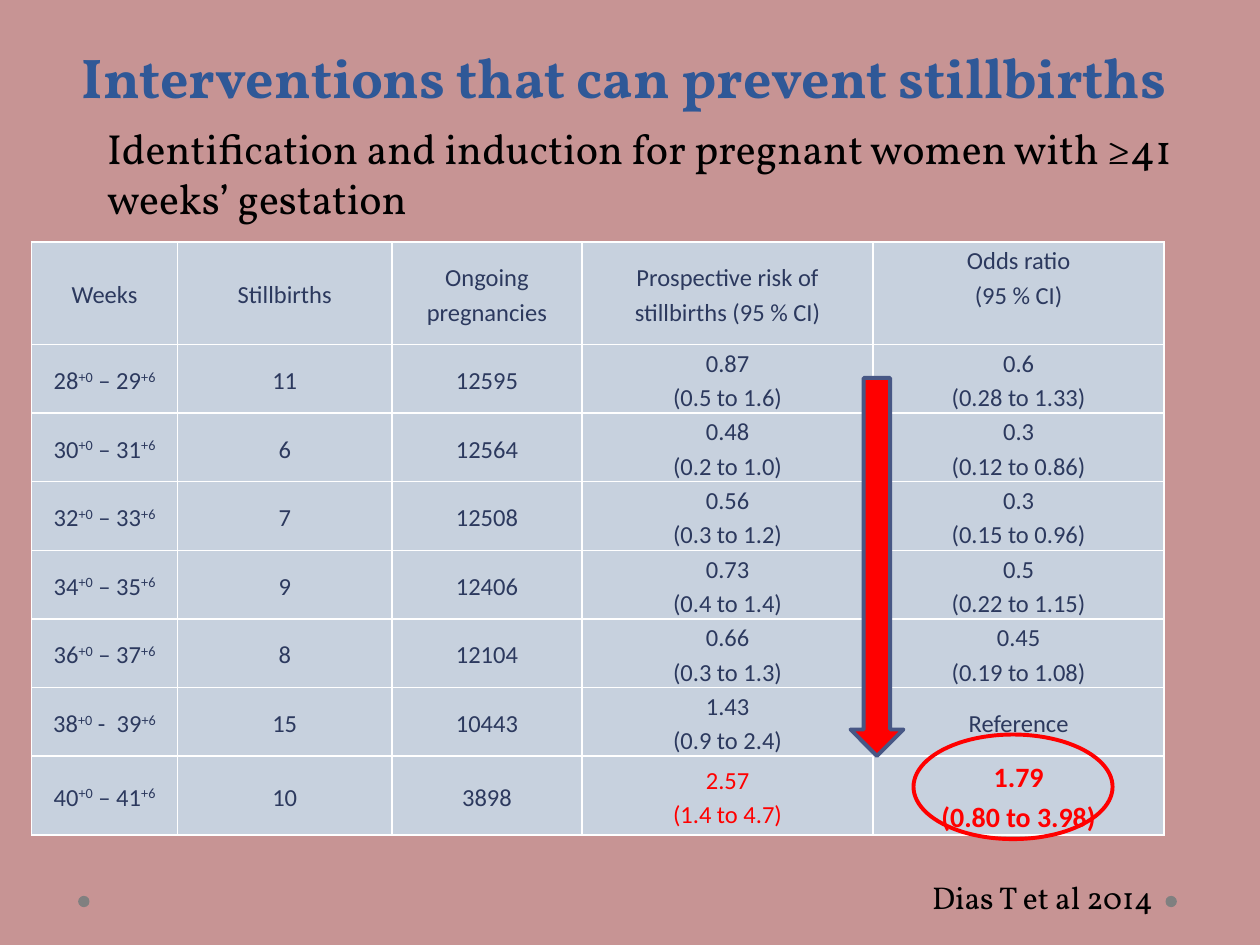
from lxml import etree
from pptx import Presentation
from pptx import util as u
from pptx.dml.color import RGBColor
from pptx.enum import shapes, text
from pptx.oxml.ns import qn

RED, WHITE, BLACK = "FF0000", "FFFFFF", "000000"
SERIF, SANS = "Vollkorn", "Calibri"
LEFT, CENTER, RIGHT = (text.PP_ALIGN.LEFT, text.PP_ALIGN.CENTER,
                       text.PP_ALIGN.RIGHT)


def color(value):
    return RGBColor.from_string(value)


def set_attributes(target, values):
    for name, value in values.items():
        setattr(target, name, value)


class SlideBuilder:
    cell_fill, cell_text = "C7D1DE", "2C395E"

    def __init__(self, slide, background):
        self.slide = slide
        slide.background.fill.solid()
        slide.background.fill.fore_color.rgb = color(background)

    def add_runs(self, paragraph, runs, font, size, hue, bold=False,
                 align=LEFT, spacing=None):
        """Runs are strings; one that starts with + is raised."""
        set_attributes(paragraph, {"alignment": align, "line_spacing": spacing})
        for words in runs:
            run = paragraph.add_run()
            run.text = words
            set_attributes(run.font, {"name": font, "size": u.Pt(size),
                                      "bold": bold})
            run.font.color.rgb = color(hue)
            if words.startswith("+"):
                run.font._element.set("baseline", "30000")

    def place(self, shape, box):
        names = ("left", "top", "width", "height")
        set_attributes(shape, dict(zip(names, map(u.Inches, box))))

    def title(self, words, box, **style):
        shape = self.slide.shapes.title
        self.place(shape, box)
        frame = shape.text_frame
        set_attributes(frame, {"word_wrap": True,
                               "auto_size": text.MSO_AUTO_SIZE.NONE,
                               "vertical_anchor": text.MSO_ANCHOR.BOTTOM})
        self.add_runs(frame.paragraphs[0], [words], **style)

    def text_box(self, words, box, indent=0.0, **style):
        frame = self.slide.shapes.add_textbox(*map(u.Inches, box)).text_frame
        set_attributes(frame, {"word_wrap": True,
                               "margin_left": u.Inches(0.1 + indent)})
        self.add_runs(frame.paragraphs[0], [words], **style)

    def shape(self, kind, box, fill=None, line=None):
        shape = self.slide.shapes.add_shape(kind, *map(u.Inches, box))
        shape.shadow.inherit = False
        if fill:
            shape.fill.solid()
            shape.fill.fore_color.rgb = color(fill)
        else:
            shape.fill.background()
        if line:
            shape.line.color.rgb = color(line)
            shape.line.width = u.Pt(2.25)
        else:
            shape.line.fill.background()

    def borders(self, cell):
        properties = cell._tc.get_or_add_tcPr()
        for index, side in enumerate(("lnL", "lnR", "lnT", "lnB")):
            line = etree.Element(qn(f"a:{side}"), w=str(u.Pt(1)))
            fill = etree.SubElement(line, qn("a:solidFill"))
            etree.SubElement(fill, qn("a:srgbClr"), val=WHITE)
            properties.insert(index, line)

    def cell(self, cell, lines, **changes):
        set_attributes(cell, {"vertical_anchor": text.MSO_ANCHOR.MIDDLE,
                              "margin_left": u.Inches(0.07),
                              "margin_right": u.Inches(0.07),
                              "margin_top": 0, "margin_bottom": 0})
        cell.fill.solid()
        cell.fill.fore_color.rgb = color(self.cell_fill)
        self.borders(cell)
        style = {"font": SANS, "size": 14, "hue": self.cell_text,
                 "align": CENTER, "spacing": 1.15, **changes}
        frame = cell.text_frame
        for index, runs in enumerate(lines):
            paragraph = frame.add_paragraph() if index else frame.paragraphs[0]
            self.add_runs(paragraph, runs, **style)

    def table(self, rows, box, widths, heights, styles):
        frame = self.slide.shapes.add_table(len(rows), len(widths),
                                            *map(u.Inches, box))
        table = frame.table
        set_attributes(table, {"first_row": False, "horz_banding": False})
        for column, width in zip(table.columns, widths):
            column.width = u.Inches(width)
        for row, height in zip(table.rows, heights):
            row.height = u.Inches(height)
        for r, row in enumerate(rows):
            for c, lines in enumerate(row):
                self.cell(table.cell(r, c), lines, **styles.get((r, c), {}))
        return table


HEADER = [[["Weeks"]], [["Stillbirths"]], [["Ongoing pregnancies"]],
          [["Prospective risk of stillbirths (95 % CI)"]],
          [["Odds ratio"], ["(95 % CI)"]]]

# First week, dash, stillbirths, pregnancies, risk and range, odds and range
RESULTS = [
    (28, " – ", 11, 12595, "0.87", "0.5 to 1.6", "0.6", "0.28 to 1.33"),
    (30, " – ", 6, 12564, "0.48", "0.2 to 1.0", "0.3", "0.12 to 0.86"),
    (32, " – ", 7, 12508, "0.56", "0.3 to 1.2", "0.3", "0.15 to 0.96"),
    (34, " – ", 9, 12406, "0.73", "0.4 to 1.4", "0.5", "0.22 to 1.15"),
    (36, " – ", 8, 12104, "0.66", "0.3 to 1.3", "0.45", "0.19 to 1.08"),
    (38, " -  ", 15, 10443, "1.43", "0.9 to 2.4", "Reference", None),
    (40, " – ", 10, 3898, "2.57", "1.4 to 4.7", "1.79", "0.80 to 3.98"),
]


def estimate(value, interval):
    return [[value], [f"({interval})"]] if interval else [[value]]


def result_row(week, dash, stillbirths, pregnancies, risk, risk_range,
               odds, odds_range):
    weeks = [str(week), "+0", f"{dash}{week + 1}", "+6"]
    return [[weeks], [[str(stillbirths)]], [[str(pregnancies)]],
            estimate(risk, risk_range), estimate(odds, odds_range)]


def main():
    presentation = Presentation()
    presentation.slide_width = u.Inches(10)
    presentation.slide_height = u.Inches(7.5)
    slide = presentation.slides.add_slide(presentation.slide_layouts[5])
    builder = SlideBuilder(slide, "C79494")

    # Footer dots
    for left in (9.25, 0.62):
        builder.shape(shapes.MSO_SHAPE.OVAL, (left, 7.11, 0.09, 0.09),
                      fill="808080")

    # Results table, with the last week's estimates in red
    rows = [HEADER] + [result_row(*result) for result in RESULTS]
    last = len(rows) - 1
    table = builder.table(
        rows, (0.25, 1.92, 9, 4.51),
        widths=[1.16, 1.7, 1.51, 2.31, 2.31],
        heights=[0.81] + [0.49] * 6 + [0.55],
        styles={(last, 3): {"hue": RED},
                (last, 4): {"hue": RED, "size": 16, "bold": True}})
    table.cell(0, 4).margin_bottom = u.Inches(0.27)

    # Highlights
    builder.shape(shapes.MSO_SHAPE.OVAL, (7.25, 5.83, 1.58, 0.83), line=RED)
    builder.shape(shapes.MSO_SHAPE.DOWN_ARROW, (6.75, 3, 0.42, 3),
                  fill=RED, line="475785")

    # Title, subtitle and citation
    builder.text_box("Identification and induction for pregnant women with "
                     "≥41 weeks’ gestation", (0.25, 0.92, 9.42, 0.91),
                     indent=0.5, font=SERIF, size=24, hue=BLACK)
    builder.title("Interventions that can prevent stillbirths ",
                  (0.5, 0, 9, 0.92), font=SERIF, size=32, hue="2F5897",
                  bold=True, align=CENTER, spacing=u.Pt(58))
    builder.text_box("Dias T et al 2014", (5.5, 6.92, 3.75, 0.4),
                     font=SERIF, size=18, hue=BLACK, align=RIGHT)

    presentation.save("out.pptx")


if __name__ == "__main__":
    main()
